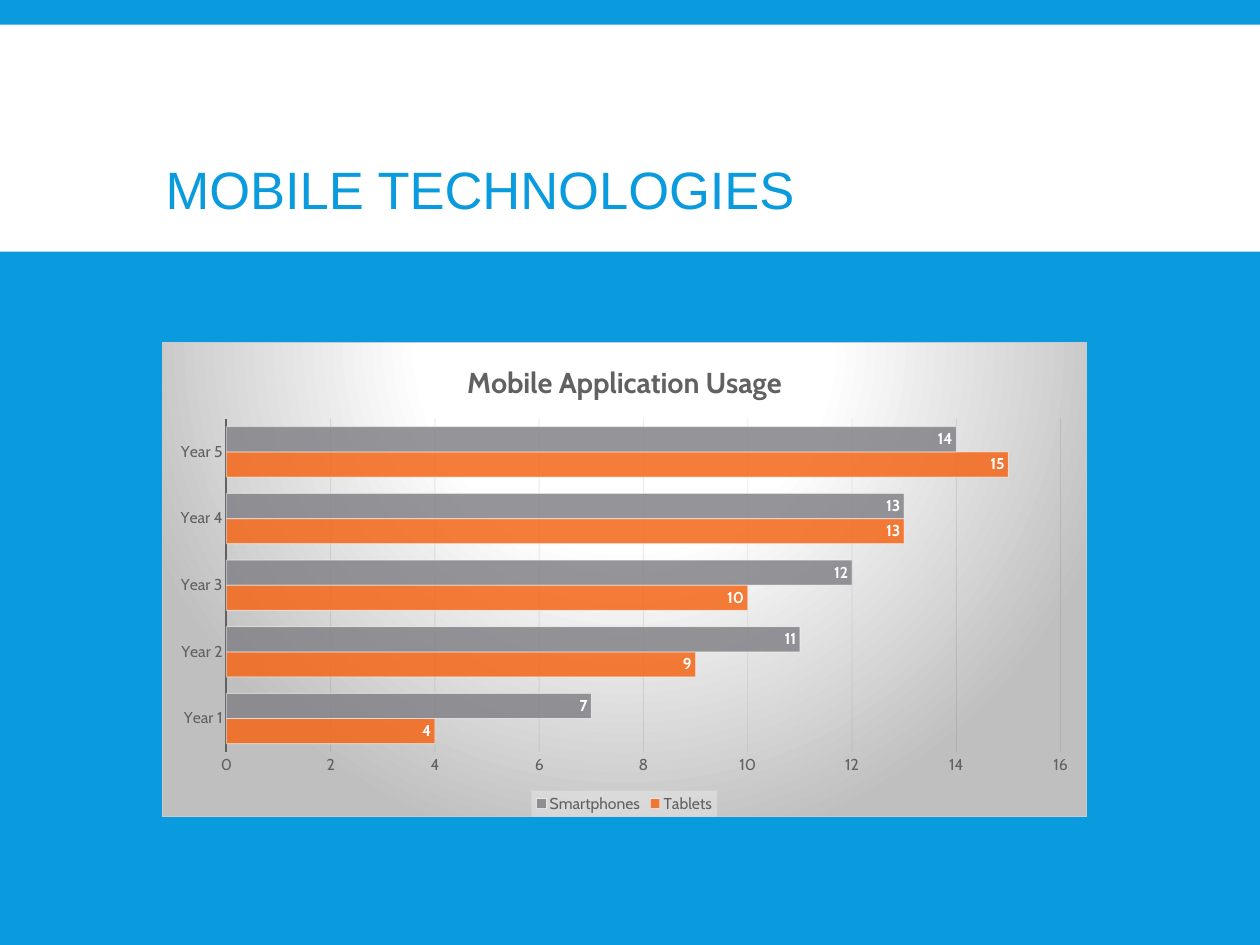
import pptx
import pptx.chart.data
import pptx.dml.color
import pptx.enum.chart
import pptx.enum.shapes
import pptx.enum.text
import pptx.oxml
import pptx.oxml.ns
import pptx.util

Inches, Pt = pptx.util.Inches, pptx.util.Pt
BLUE, WHITE, GRAY = "099BDD", "FFFFFF", "616161"
NAMESPACES = pptx.oxml.ns.nsdecls("a", "c")


def paint(color_holder, hex_color, opacity=100):
    """Give a fill or font a solid colour, with opacity in percent."""
    if hasattr(color_holder, "solid"):
        color_holder.solid()
        color = color_holder.fore_color
    else:
        color = color_holder.color
    color.rgb = pptx.dml.color.RGBColor.from_string(hex_color)
    if opacity < 100:
        element = color._xFill.find(".//" + pptx.oxml.ns.qn("a:srgbClr"))
        alpha = element.makeelement(pptx.oxml.ns.qn("a:alpha"), {"val": str(opacity * 1000)})
        element.append(alpha)


def set_font(font, name, size, hex_color, bold=False):
    font.name, font.size, font.bold = name, Pt(size), bold
    paint(font, hex_color)


presentation = pptx.Presentation()
presentation.slide_width = Inches(13.32)
presentation.slide_height = Inches(9.99)
slide = presentation.slides.add_slide(presentation.slide_layouts[5])
paint(slide.background.fill, BLUE)

# White band behind the title
band = slide.shapes.add_shape(pptx.enum.shapes.MSO_SHAPE.RECTANGLE,
                              0, Inches(0.26), presentation.slide_width, Inches(2.4))
band.shadow.inherit = False
paint(band.fill, WHITE)
band.line.fill.background()
slide.shapes._spTree.insert(2, band._element)

title = slide.shapes.title
title.left, title.top, title.width, title.height = map(Inches, (1.65, 1.11, 10.03, 1.88))
title.text_frame.vertical_anchor = pptx.enum.text.MSO_ANCHOR.MIDDLE
paragraph = title.text_frame.paragraphs[0]
paragraph.alignment = pptx.enum.text.PP_ALIGN.LEFT
paragraph.line_spacing = 0.85
run = paragraph.add_run()
run.text = "MOBILE TECHNOLOGIES"
set_font(run.font, "Arial", 40, BLUE)

# Usage chart
usage = {"Tablets": ((4, 9, 10, 13, 15), "F56617"),
         "Smartphones": ((7, 11, 12, 13, 14), "828288")}
chart_data = pptx.chart.data.CategoryChartData()
chart_data.categories = [f"Year {year}" for year in range(1, 6)]
for name, (values, _) in usage.items():
    chart_data.add_series(name, values)
chart = slide.shapes.add_chart(pptx.enum.chart.XL_CHART_TYPE.BAR_CLUSTERED,
                               *map(Inches, (1.71, 3.62, 9.78, 5.02)), chart_data).chart
set_font(chart.font, "Cabin", 10, WHITE)

chart.has_title = True
run = chart.chart_title.text_frame.paragraphs[0].add_run()
run.text = "Mobile Application Usage"
set_font(run.font, "Cabin", 22, GRAY, bold=True)
chart.chart_title.include_in_layout = False

plot = chart.plots[0]
plot.gap_width, plot.overlap, plot.vary_by_categories = 65, 0, False
for series, (_, color) in zip(plot.series, usage.values()):
    paint(series.format.fill, color, 85)
    series.format.line.width = Pt(0.75)
    paint(series.format.line.fill, WHITE, 50)
    labels = series.data_labels
    labels.show_value = True
    labels.position = pptx.enum.chart.XL_LABEL_POSITION.INSIDE_END
    set_font(labels.font, "Cabin", 12, WHITE, bold=True)

for axis in (chart.category_axis, chart.value_axis):
    axis.major_tick_mark = axis.minor_tick_mark = pptx.enum.chart.XL_TICK_MARK.NONE
    set_font(axis.tick_labels.font, "Cabin", 12, GRAY)
chart.category_axis.format.line.width = Pt(1.5)
paint(chart.category_axis.format.line.fill, GRAY)
chart.value_axis.format.line.fill.background()
gridline = chart.value_axis.major_gridlines.format.line
gridline.width = Pt(0.75)
paint(gridline.fill, "373737", 10)

chart.has_legend = True
legend = chart.legend
legend.position = pptx.enum.chart.XL_LEGEND_POSITION.BOTTOM
legend.include_in_layout = False
set_font(legend.font, "Cabin", 12, GRAY)
legend_fill = pptx.oxml.parse_xml(
    f'<c:spPr {NAMESPACES}><a:solidFill><a:srgbClr val="F2F2F2"><a:alpha val="39000"/>'
    '</a:srgbClr></a:solidFill></c:spPr>')
legend._element.find(pptx.oxml.ns.qn("c:txPr")).addprevious(legend_fill)

# Radial background of the chart
stops = "".join(f'<a:gs pos="{share * 1000}"><a:srgbClr val="{color}"/></a:gs>'
                for share, color in ((0, WHITE), (39, WHITE), (100, "BFBFBF")))
background = pptx.oxml.parse_xml(
    f'<c:spPr {NAMESPACES}><a:gradFill><a:gsLst>{stops}</a:gsLst><a:path path="circle">'
    '<a:fillToRect l="50000" t="-80000" r="50000" b="180000"/></a:path></a:gradFill>'
    '<a:ln w="9525"><a:solidFill><a:srgbClr val="CACACA"/></a:solidFill></a:ln></c:spPr>')
chart._chartSpace.find(pptx.oxml.ns.qn("c:chart")).addnext(background)

presentation.save("out.pptx")
